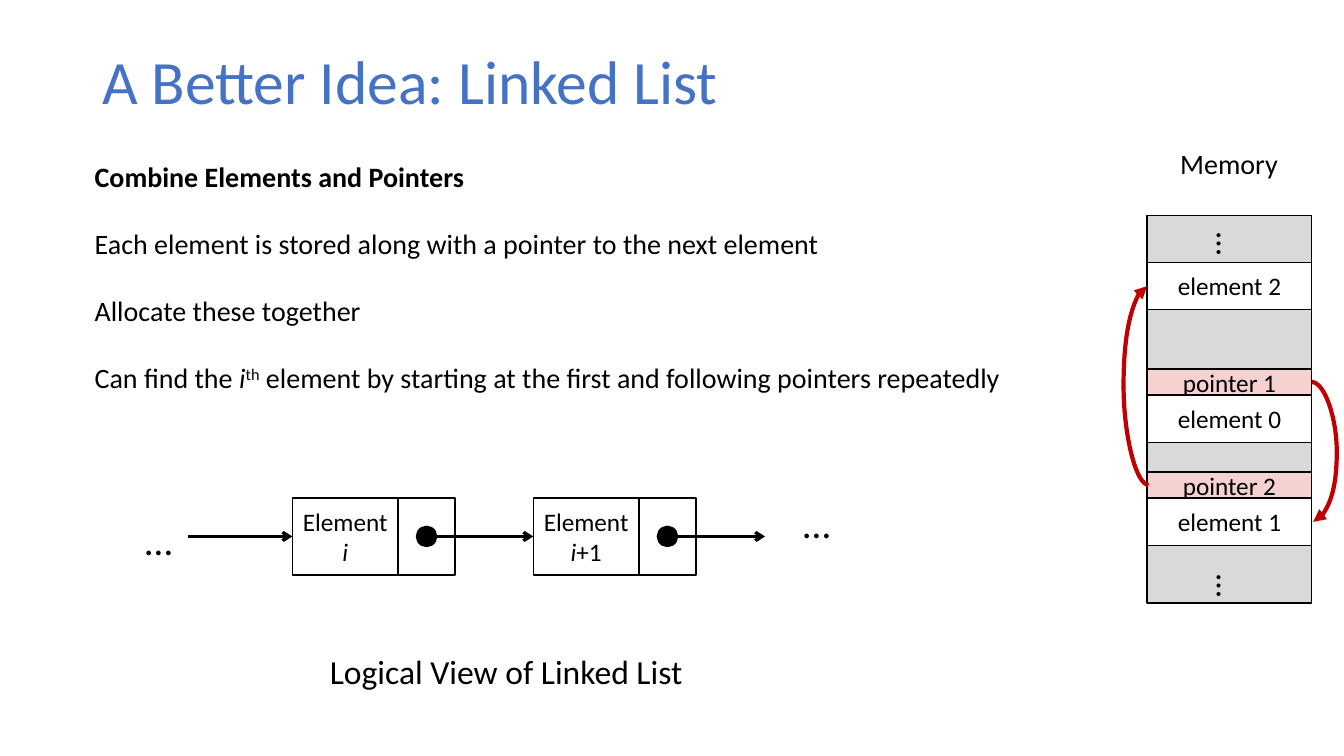
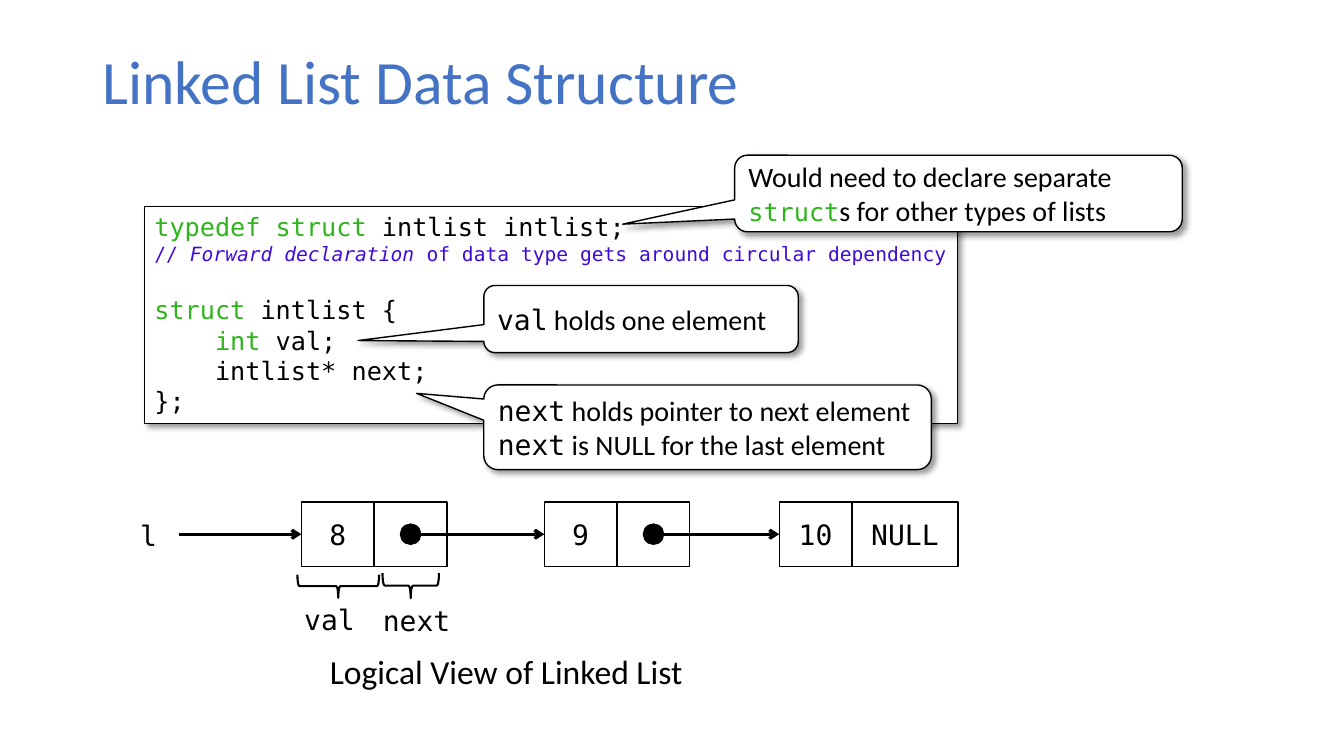
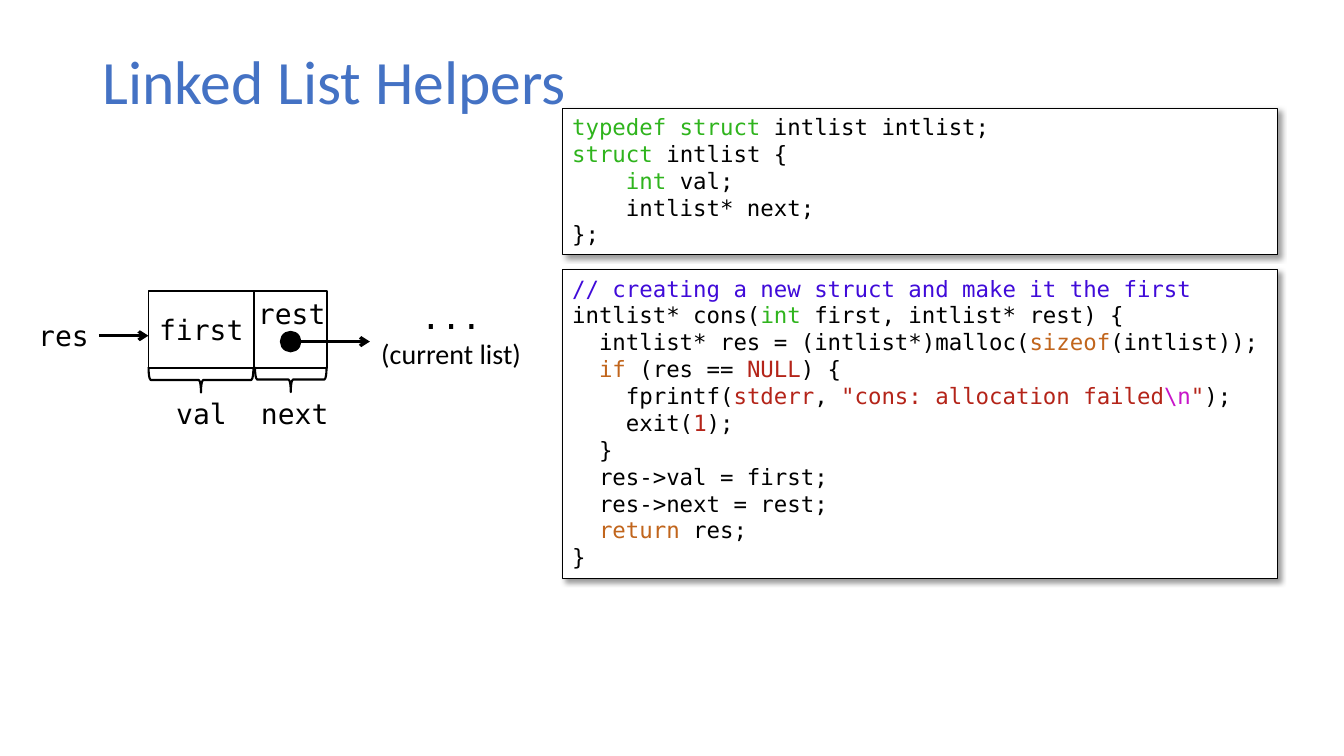
import pptx
import pptx.dml.color
import pptx.enum.shapes
import pptx.enum.text
import pptx.oxml
import pptx.oxml.ns
import pptx.util

Pt = pptx.util.Pt
SHAPE = pptx.enum.shapes.MSO_SHAPE
CONNECTOR = pptx.enum.shapes.MSO_CONNECTOR
ANCHOR = pptx.enum.text.MSO_ANCHOR
LEFT = pptx.enum.text.PP_ALIGN.LEFT
CENTER = pptx.enum.text.PP_ALIGN.CENTER
qn = pptx.oxml.ns.qn
rgb = pptx.dml.color.RGBColor.from_string

SANS, MONO = "Calibri", "DejaVu Sans Mono"
BLACK, WHITE, GRAY, PINK = "000000", "FFFFFF", "D9D9D9", "F5D1CF"
TITLE_BLUE, ARROW_RED = "4472C4", "C00000"
TYPE = {"color": "2FB41D"}
COMMENT = {"color": "400BD9"}
FLOW = {"color": "C1651C"}
VALUE = {"color": "B42419"}
ESCAPE = {"color": "C814C9"}
ITALIC = {"italic": True}
CODE = {"font": MONO}

SHADOW = (
    f'<a:outerShdw {pptx.oxml.ns.nsdecls("a")} blurRad="50800" dist="38100"'
    ' dir="2700000" algn="tl" rotWithShape="0"><a:srgbClr val="000000">'
    '<a:alpha val="40000"/></a:srgbClr></a:outerShdw>'
)


def draw(page, kind, left, top, width, height, lines=(), size=20, font=SANS,
         color=BLACK, align=LEFT, anchor=ANCHOR.MIDDLE, fill=None,
         line_width=1, shadow=False):
    """Add a preset shape, or a text box if kind is None.

    Each line is a list of runs: a string, or a pair of string and style.
    """
    frame = Pt(left), Pt(top), Pt(width), Pt(height)
    if kind is None:
        shape = page.shapes.add_textbox(*frame)
    else:
        shape = page.shapes.add_shape(kind, *frame)
        shape.shadow.inherit = False
        shape.line.color.rgb = rgb(BLACK)
        shape.line.width = Pt(line_width)
        if fill:
            shape.fill.solid()
            shape.fill.fore_color.rgb = rgb(fill)
        else:
            shape.fill.background()
    if shadow:
        effects = shape._element.spPr.find(qn("a:effectLst"))
        effects.append(pptx.oxml.parse_xml(SHADOW))
    text = shape.text_frame
    text.word_wrap = True
    text.vertical_anchor = anchor
    for index, runs in enumerate(lines):
        para = text.add_paragraph() if index else text.paragraphs[0]
        para.alignment = align
        para.font.name = font
        para.font.size = Pt(size)
        para.font.color.rgb = rgb(color)
        for run in runs:
            words, style = (run, {}) if isinstance(run, str) else run
            span = para.add_run()
            span.text = words
            if "color" in style:
                span.font.color.rgb = rgb(style["color"])
            if "font" in style:
                span.font.name = style["font"]
            if "size" in style:
                span.font.size = Pt(style["size"])
            if "italic" in style:
                span.font.italic = style["italic"]
    return shape


def arrow(page, start, end, color=BLACK, width=2.25, tip="arrow", bend=None):
    """Add an arrow; bend makes it a curve, as a multiple of its width."""
    kind = CONNECTOR.STRAIGHT if bend is None else CONNECTOR.CURVE
    line = page.shapes.add_connector(kind, *map(Pt, start), *map(Pt, end))
    line.line.color.rgb = rgb(color)
    line.line.width = Pt(width)
    properties = line._element.spPr
    stroke = properties.find(qn("a:ln"))
    stroke.append(stroke.makeelement(qn("a:tailEnd"), {"type": tip}))
    properties.append(properties.makeelement(qn("a:effectLst"), {}))
    if bend is not None:
        guides = properties.find(qn("a:prstGeom")).get_or_add_avLst()
        guide = {"name": "adj1", "fmla": f"val {bend * 100000}"}
        guides.append(guides.makeelement(qn("a:gd"), guide))
    return line


deck = pptx.Presentation()
deck.slide_width = Pt(960)
deck.slide_height = Pt(540)

pages = []
for title in ("A Better Idea: Linked List", "Linked List Data Structure",
              "Linked List Helpers"):
    page = deck.slides.add_slide(deck.slide_layouts[6])
    box = draw(page, None, 66, 28.8, 828, 62.6, [[title]], 44,
               color=TITLE_BLUE)
    box.text_frame.paragraphs[0].line_spacing = 0.9
    pages.append(page)
idea, structure, helpers = pages

# Linked list nodes: a value cell, a link cell and the arrow out of it
DOT = 14.4
element = {"size": 18}
code_cell = {"size": 20, "font": MONO}
for (page, left, top, height, value_width, link_width, value, style,
     link_y, arrow_end) in (
    (idea, 208.8, 355.7, 55, 75.6, 40.6, ["Element ", ("i", ITALIC)],
     element, 383.2, 380.9),
    (idea, 380.9, 355.7, 55, 75.6, 40.6, ["Element ", ("i", ITALIC), "+1"],
     element, 383.2, 546.5),
    (structure, 215.3, 358.6, 46, 52, 52, ["8"], code_cell, 381.6, 388.8),
    (structure, 388.8, 358.6, 46, 52, 52, ["9"], code_cell, 381.6, 556.6),
    (structure, 556.6, 358.6, 46, 52, 75.6, ["10"], code_cell, 381.6, None),
    (helpers, 106, 208, 55, 75.6, 52, ["first"], code_cell, 244, 264.2),
):
    middle = left + value_width + link_width / 2
    draw(page, SHAPE.RECTANGLE, left + value_width, top, link_width, height,
         [] if arrow_end else [["NULL"]], align=CENTER, fill=WHITE, **style)
    draw(page, SHAPE.RECTANGLE, left, top, value_width, height, [value],
         align=CENTER, fill=WHITE, **style)
    if arrow_end:
        draw(page, SHAPE.OVAL, middle - DOT / 2, link_y - DOT / 2, DOT, DOT,
             fill=BLACK)
        arrow(page, (middle + DOT / 2, link_y), (arrow_end, link_y))

for page, start, end, y in ((idea, 134.6, 208.8, 383.2),
                            (structure, 128.2, 215.3, 381.6),
                            (helpers, 70.6, 106, 239.8)):
    arrow(page, (start, y), (end, y))

# Braces under the first node, with the field names below
for page, center, middle, span, depth, field, left, top, width in (
    (structure, 241.6, 418.7, 58.3, 16.6, "val", 210.2, 427, 52),
    (structure, 293.4, 418.3, 40.3, 18, "next", 266.4, 427.7, 64),
    (helpers, 143.6, 271.4, 74.9, 18, "val", 118.8, 279.4, 52),
    (helpers, 207.7, 271.1, 51.1, 18, "next", 179.3, 279.4, 64),
):
    brace = draw(page, SHAPE.LEFT_BRACE, center - depth / 2,
                 middle - span / 2, depth, span, line_width=1.5)
    brace.rotation = 270
    draw(page, None, left, top, width, 31.5, [[field]], font=MONO,
         anchor=ANCHOR.TOP)

for page in (idea, structure):
    draw(page, None, 228.5, 461.5, 270, 36, [["Logical View of Linked List"]],
         24, anchor=ANCHOR.TOP)

# Slide 1: explanation and memory column
body = draw(idea, None, 60.5, 110.2, 680, 177, [
    ["Combine Elements and Pointers"],
    ["Each element is stored along with a pointer to the next element"],
    ["Allocate these together"],
    ["Can find the ", ("i", ITALIC), "th",
     " element by starting at the first and following pointers repeatedly"],
], anchor=ANCHOR.TOP)
paras = body.text_frame.paragraphs
paras[0].font.bold = True
for para in paras[1:]:
    para.space_before = Pt(24)
paras[3].runs[2]._r.get_or_add_rPr().set("baseline", "30000")

for left, top in ((96.5, 365), (566.6, 352.8)):
    draw(idea, None, left, top, 34, 41, [["…"]], 28, anchor=ANCHOR.TOP)

draw(idea, None, 835.9, 100.8, 86, 31.5, [["Memory"]], anchor=ANCHOR.TOP)
MEMORY_LEFT, MEMORY_WIDTH = 819.4, 117.6
draw(idea, SHAPE.RECTANGLE, MEMORY_LEFT, 154, MEMORY_WIDTH, 276.7, fill=GRAY)
for top in (156.2, 401):
    dots = draw(idea, None, 863, top, 31.7, 36, [["…"]], 24, align=CENTER)
    dots.rotation = 90
for label, top, height, fill in (
    ("element 2", 187.3, 33.8, WHITE),
    ("element 0", 282.2, 33.8, WHITE),
    ("element 1", 355.8, 33.8, WHITE),
    ("pointer 1", 263.5, 18.7, PINK),
    ("pointer 2", 337.1, 18.7, PINK),
):
    draw(idea, SHAPE.RECTANGLE, MEMORY_LEFT, top, MEMORY_WIDTH, height,
         [[label]], 18, align=CENTER, fill=fill)

curve = {"color": ARROW_RED, "width": 3, "tip": "triangle", "bend": 18}
to_element_2 = arrow(idea, (819.4, 204.4), (820.4, 346.4), **curve)
to_element_2._element.spPr.xfrm.set("rot", "10800000")
arrow(idea, (937, 272.9), (938, 372.8), **curve)

# Slides 2 and 3: code
forward = [("typedef struct ", TYPE), "intlist intlist;"]
fields = [
    [("struct ", TYPE), "intlist {"],
    ["    ", ("int ", TYPE), "val;"],
    ["    intlist* next;"],
    ["};"],
]
note = {"size": 14, **COMMENT}
cons = [
    [("// creating a new struct and make it the first", COMMENT)],
    ["intlist* cons(", ("int", TYPE), " first, intlist* rest) {"],
    ["  intlist* res = (intlist*)malloc(", ("sizeof", FLOW), "(intlist));"],
    ["  ", ("if", FLOW), " (res == ", ("NULL", VALUE), ") {"],
    ["    fprintf(", ("stderr", VALUE), ", ",
     ('"cons: allocation failed', VALUE), ("\\n", ESCAPE), ('"', VALUE),
     ");"],
    ["    exit(", ("1", VALUE), ");"],
    ["  }"],
    ["  res->val = first;"],
    ["  res->next = rest;"],
    ["  ", ("return", FLOW), " res;"],
    ["}"],
]
forward_note = [("// ", note), ("Forward declaration", {**note, **ITALIC}),
                (" of data type gets around circular dependency", note)]
listings = []
for page, left, top, width, height, size, lines in (
    (structure, 103.2, 147.6, 581, 155, 18, [forward, forward_note, *fields]),
    (helpers, 401.6, 192.7, 510.6, 220.3, 16, cons),
    (helpers, 401.6, 77.2, 510.6, 104.4, 16, [forward, *fields]),
):
    listings.append(draw(page, SHAPE.RECTANGLE, left, top, width, height,
                         lines, size, MONO, anchor=ANCHOR.TOP, fill=WHITE,
                         line_width=0.75, shadow=True))
listings[0].text_frame.paragraphs[1].font.size = Pt(14)
listings[0].text_frame.paragraphs[2].space_before = Pt(21)

# Slide 2: callouts
for left, top, width, height, tip_x, tip_y, lines in (
    (345.6, 203.9, 224.6, 48, -0.9, 0.32,
     [[("val", CODE), " holds one element"]]),
    (345.6, 275, 319.7, 60.5, -0.65, -0.4,
     [[("next", CODE), " holds pointer to next element"],
      [("next", CODE), " is NULL for the last element"]]),
    (524.8, 110.9, 319.7, 54.7, -0.75, 0.4,
     [["Would need to declare separate ",
       ("struct", {"size": 18, **CODE, **TYPE}),
       "s for other types of lists"]]),
):
    callout = draw(structure, SHAPE.ROUNDED_RECTANGULAR_CALLOUT, left, top,
                   width, height, lines, fill=WHITE, shadow=True)
    callout.adjustments[0] = tip_x
    callout.adjustments[1] = tip_y
draw(structure, None, 83.5, 366.5, 45.4, 31.5, [["l"]], font=MONO,
     align=CENTER, anchor=ANCHOR.TOP)

# Slide 3: labels around the node
draw(helpers, None, 176.4, 208, 64, 31.5, [["rest"]], font=MONO,
     align=CENTER, anchor=ANCHOR.TOP)
draw(helpers, None, 20.2, 223.9, 52, 31.5, [["res"]], font=MONO,
     anchor=ANCHOR.TOP)
current = draw(helpers, None, 261.4, 208, 121.7, 60.5,
               [["..."], ["(current list)"]], align=CENTER, anchor=ANCHOR.TOP)
dots = current.text_frame.paragraphs[0]
dots.font.name = MONO
dots.font.size = Pt(24)

deck.save("out.pptx")
